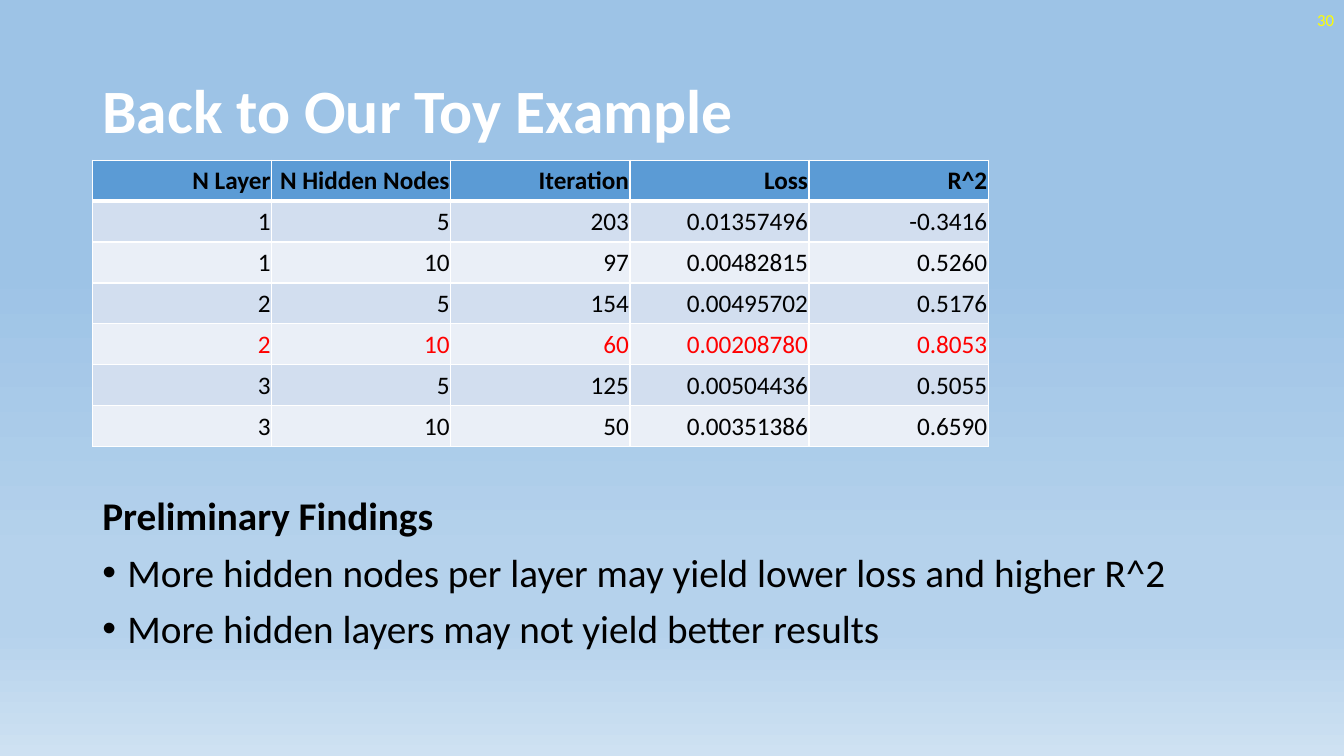
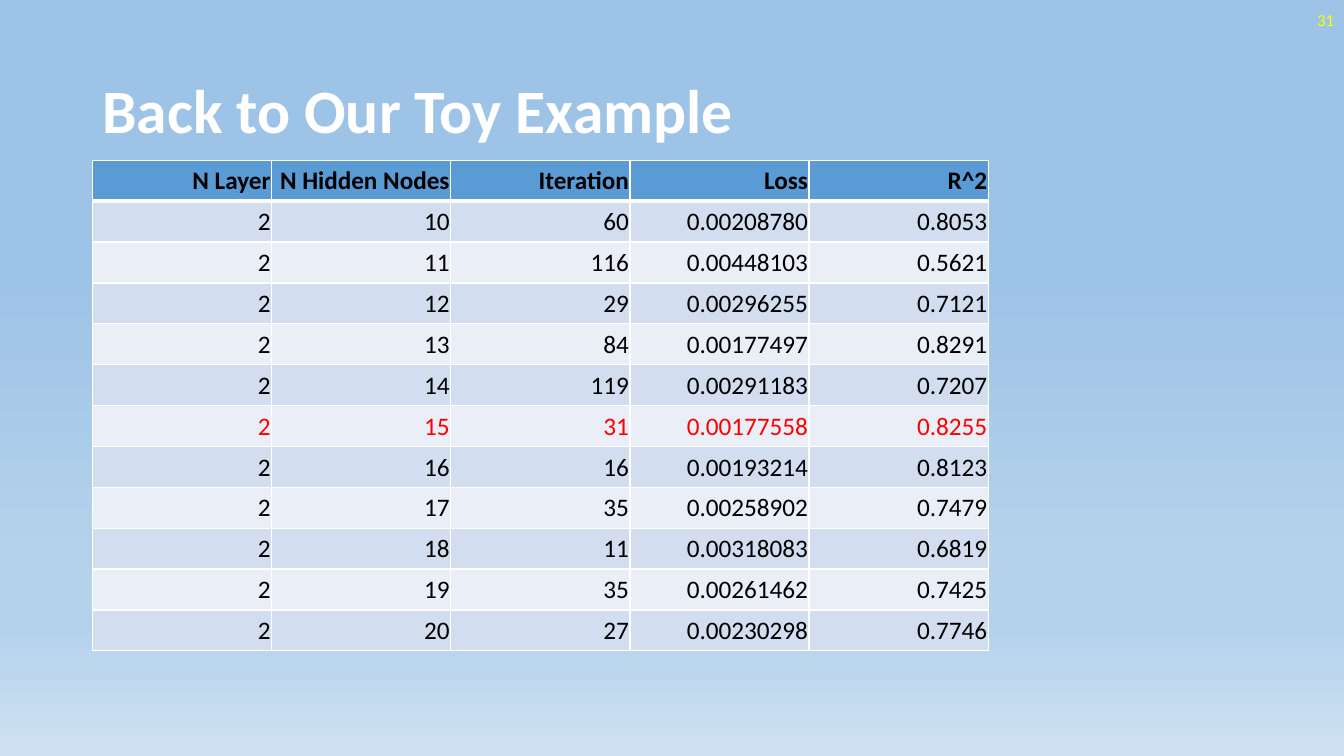
from dataclasses import dataclass

from lxml import etree
from pptx import Presentation
from pptx.dml.color import RGBColor
from pptx.enum.text import MSO_ANCHOR, MSO_AUTO_SIZE, PP_ALIGN
from pptx.oxml.ns import qn
from pptx.util import Pt

LEFT, RIGHT = PP_ALIGN.LEFT, PP_ALIGN.RIGHT
TOP, MIDDLE = MSO_ANCHOR.TOP, MSO_ANCHOR.MIDDLE
NO_FIT = MSO_AUTO_SIZE.NONE

BLACK = RGBColor(0x00, 0x00, 0x00)
WHITE = RGBColor(0xFF, 0xFF, 0xFF)
RED = RGBColor(0xFF, 0x00, 0x00)
YELLOW = RGBColor(0xFF, 0xFF, 0x00)
HEADER_BLUE = RGBColor(0x5B, 0x9B, 0xD5)
BAND_DARK = RGBColor(0xD2, 0xDE, 0xEF)
BAND_LIGHT = RGBColor(0xEA, 0xEF, 0xF7)
SKY = RGBColor(0x9D, 0xC3, 0xE6)
HAZE = RGBColor(0xB5, 0xD2, 0xEC)
MIST = RGBColor(0xCE, 0xE1, 0xF2)
BACKGROUND_STOPS = ((35, SKY), (74, HAZE), (83, HAZE), (100, MIST))

FONT = "Calibri"
SLIDE_W, SLIDE_H = Pt(960), Pt(540)
MARGIN, CONTENT_W = Pt(66), Pt(828)
TABLE_TOP, COL_W, ROW_H = Pt(114.5), Pt(128), Pt(29.2)
CELL_INSET = Pt(0.75)
THIN, THICK = Pt(1), Pt(3)

HEADERS = ("N Layer", "N Hidden Nodes", "Iteration", "Loss", "R^2")


@dataclass(frozen=True)
class Line:
    text: str
    bold: bool = False
    bullet: bool = False


@dataclass(frozen=True)
class ResultSlide:
    title: str
    number: int
    rows: tuple[tuple[str, ...], ...]
    best_row: int
    findings: tuple[Line, ...] = ()


SLIDES = (
    ResultSlide(
        "Back to Our Toy Example",
        30,
        (
            ("1", "5", "203", "0.01357496", "-0.3416"),
            ("1", "10", "97", "0.00482815", "0.5260"),
            ("2", "5", "154", "0.00495702", "0.5176"),
            ("2", "10", "60", "0.00208780", "0.8053"),
            ("3", "5", "125", "0.00504436", "0.5055"),
            ("3", "10", "50", "0.00351386", "0.6590"),
        ),
        4,
        (
            Line("Preliminary Findings", bold=True),
            Line("More hidden nodes per layer may yield lower loss and higher R^2", bullet=True),
            Line("More hidden layers may not yield better results", bullet=True),
        ),
    ),
    ResultSlide(
        "Back to Our Toy Example",
        31,
        (
            ("2", "10", "60", "0.00208780", "0.8053"),
            ("2", "11", "116", "0.00448103", "0.5621"),
            ("2", "12", "29", "0.00296255", "0.7121"),
            ("2", "13", "84", "0.00177497", "0.8291"),
            ("2", "14", "119", "0.00291183", "0.7207"),
            ("2", "15", "31", "0.00177558", "0.8255"),
            ("2", "16", "16", "0.00193214", "0.8123"),
            ("2", "17", "35", "0.00258902", "0.7479"),
            ("2", "18", "11", "0.00318083", "0.6819"),
            ("2", "19", "35", "0.00261462", "0.7425"),
            ("2", "20", "27", "0.00230298", "0.7746"),
        ),
        6,
    ),
)


def set_background(master) -> None:
    master.background.fill.gradient()
    grad = master.element.find(".//" + qn("a:gradFill"))
    for child in list(grad):
        grad.remove(child)
    stops = etree.SubElement(grad, qn("a:gsLst"))
    for percent, color in BACKGROUND_STOPS:
        stop = etree.SubElement(stops, qn("a:gs"), pos=str(percent * 1000))
        etree.SubElement(stop, qn("a:srgbClr"), val=str(color))
    etree.SubElement(grad, qn("a:lin"), ang="5400000", scaled="0")


def add_run(p, text: str, size: float, color: RGBColor, bold: bool = False) -> None:
    r = p.add_run()
    r.text = text
    r.font.name = FONT
    r.font.size = Pt(size)
    r.font.bold = bold
    r.font.color.rgb = color


def set_frame(tf, anchor) -> None:
    tf.word_wrap = True
    tf.auto_size = NO_FIT
    tf.vertical_anchor = anchor


def add_title(s, text: str) -> None:
    sp = s.shapes.title
    sp.left, sp.top, sp.width, sp.height = MARGIN, Pt(28.75), CONTENT_W, Pt(104.4)
    set_frame(sp.text_frame, MIDDLE)
    p = sp.text_frame.paragraphs[0]
    p.alignment = LEFT
    p.line_spacing = 0.9
    add_run(p, text, 44, WHITE, bold=True)


def add_number(s, number: int) -> None:
    sp = s.shapes.add_textbox(Pt(744), Pt(0), Pt(216), Pt(28.75))
    set_frame(sp.text_frame, MIDDLE)
    p = sp.text_frame.paragraphs[0]
    p.alignment = RIGHT
    add_run(p, str(number), 12, YELLOW)


def add_bullet(p) -> None:
    pPr = p._p.get_or_add_pPr()
    pPr.set("marL", str(Pt(18)))
    pPr.set("indent", str(-Pt(18)))
    etree.SubElement(pPr, qn("a:buFont"), typeface="Arial")
    etree.SubElement(pPr, qn("a:buChar"), char="•")


def add_findings(s, lines: tuple[Line, ...]) -> None:
    sp = s.shapes.add_textbox(MARGIN, Pt(351.4), CONTENT_W, Pt(135.4))
    tf = sp.text_frame
    set_frame(tf, TOP)
    for i, line in enumerate(lines):
        p = tf.add_paragraph() if i else tf.paragraphs[0]
        p.line_spacing = 0.9
        p.space_before = Pt(10)
        if line.bullet:
            add_bullet(p)
        add_run(p, line.text, 28, BLACK, line.bold)


def set_borders(cell, top: int, bottom: int) -> None:
    tcPr = cell._tc.get_or_add_tcPr()
    for side, width in (("L", THIN), ("R", THIN), ("T", top), ("B", bottom)):
        ln = etree.SubElement(tcPr, qn(f"a:ln{side}"), w=str(width))
        fill = etree.SubElement(ln, qn("a:solidFill"))
        etree.SubElement(fill, qn("a:srgbClr"), val=str(WHITE))


def add_results(s, rows: tuple[tuple[str, ...], ...], best_row: int) -> None:
    grid = (HEADERS, *rows)
    n_rows, n_cols = len(grid), len(HEADERS)
    frame = s.shapes.add_table(
        n_rows, n_cols, MARGIN, TABLE_TOP, COL_W * n_cols, ROW_H * n_rows
    )
    table = frame.table
    for column in table.columns:
        column.width = COL_W
    for i, values in enumerate(grid):
        table.rows[i].height = ROW_H
        header = i == 0
        band = HEADER_BLUE if header else BAND_DARK if i % 2 else BAND_LIGHT
        color = RED if i == best_row else BLACK
        for j, value in enumerate(values):
            cell = table.cell(i, j)
            cell.margin_left = cell.margin_right = cell.margin_top = CELL_INSET
            cell.margin_bottom = Pt(0)
            cell.vertical_anchor = MIDDLE
            set_borders(cell, THICK if i == 1 else THIN, THICK if header else THIN)
            cell.fill.solid()
            cell.fill.fore_color.rgb = band
            p = cell.text_frame.paragraphs[0]
            p.alignment = RIGHT
            add_run(p, value, 18, color, bold=header)


def add_result_slide(prs, content: ResultSlide) -> None:
    s = prs.slides.add_slide(prs.slide_layouts.get_by_name("Title Only"))
    add_title(s, content.title)
    add_number(s, content.number)
    if content.findings:
        add_findings(s, content.findings)
    add_results(s, content.rows, content.best_row)


def main() -> None:
    prs = Presentation()
    prs.slide_width, prs.slide_height = SLIDE_W, SLIDE_H
    set_background(prs.slide_master)
    for content in SLIDES:
        add_result_slide(prs, content)
    prs.save("out.pptx")


if __name__ == "__main__":
    main()
